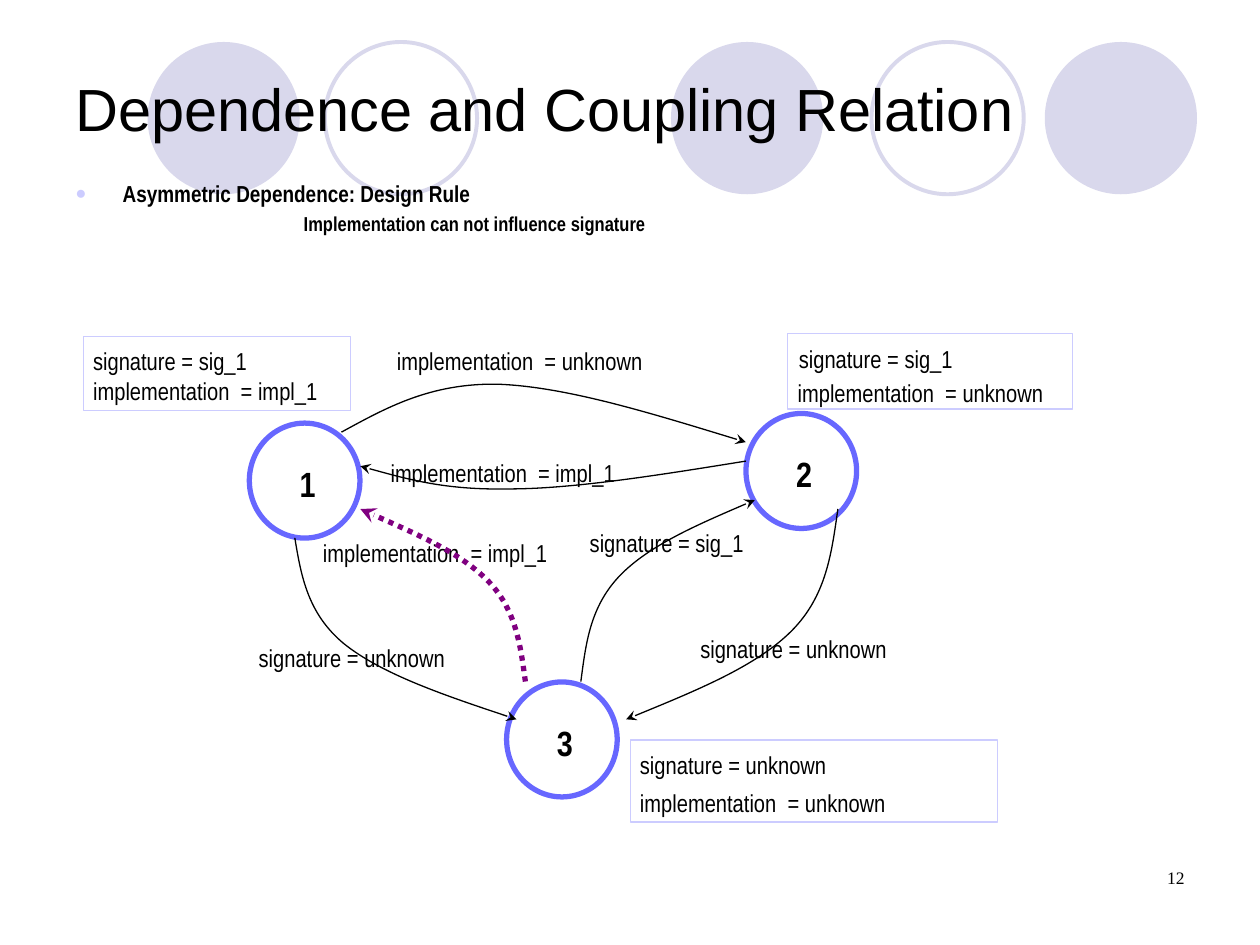
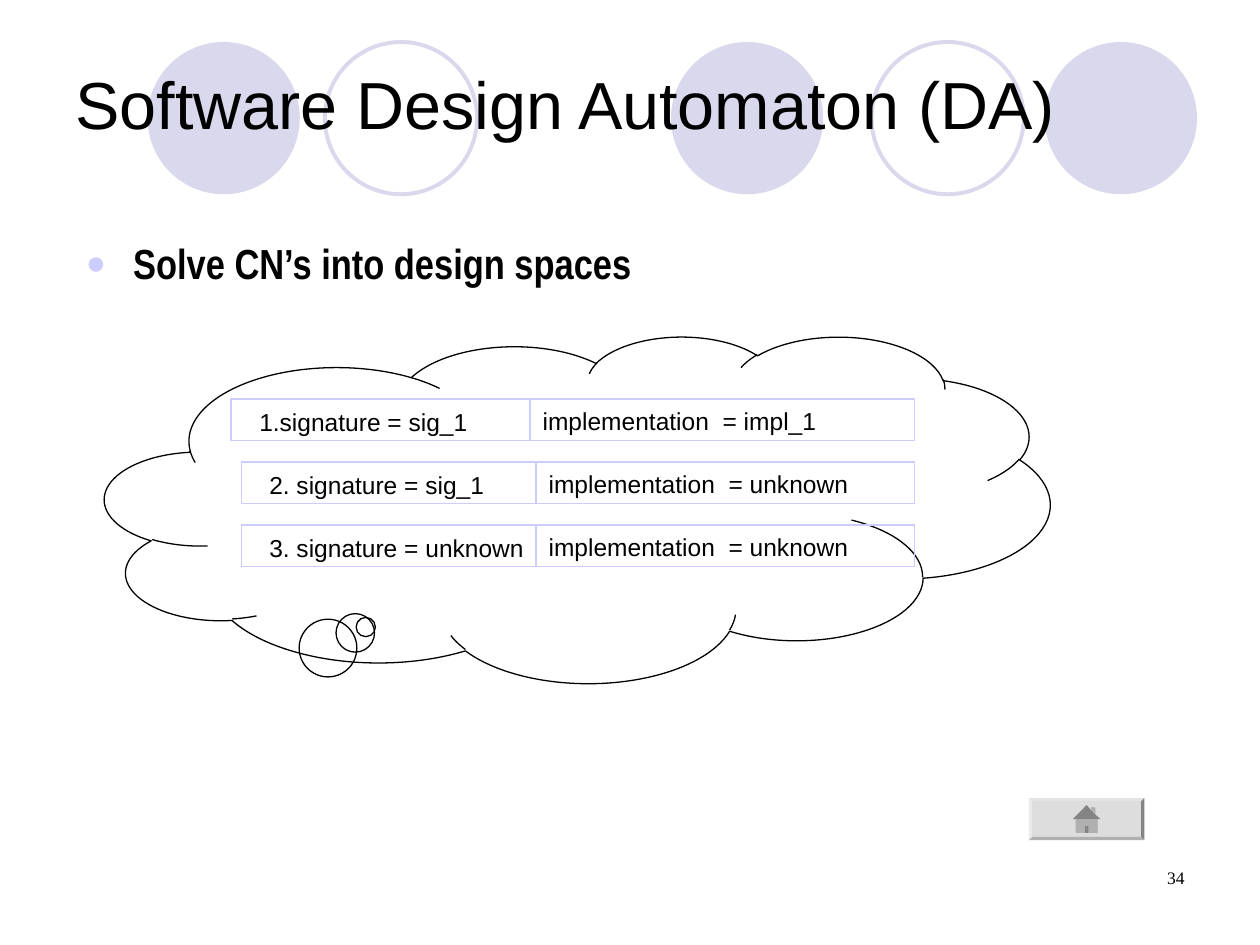
"""Build two slides on coupling relations and the software design automaton."""
import pptx
import pptx.dml.color
import pptx.enum.dml
import pptx.enum.shapes
import pptx.enum.text
import pptx.util
from lxml import etree

Pt = pptx.util.Pt
RGBColor = pptx.dml.color.RGBColor
SHAPE = pptx.enum.shapes.MSO_SHAPE
ANCHOR = pptx.enum.text.MSO_ANCHOR
ALIGN = pptx.enum.text.PP_ALIGN

BLACK = RGBColor(0x00, 0x00, 0x00)
PALE = RGBColor(0xD9, 0xD8, 0xEC)
LAVENDER = RGBColor(0xCC, 0xCC, 0xFF)
NODE_BLUE = RGBColor(0x67, 0x67, 0xFF)
PURPLE = RGBColor(0x80, 0x00, 0x80)
FACE = RGBColor(0xDD, 0xDD, 0xDD)
NARROW = "Arial Narrow"
DRAWING = "{http://schemas.openxmlformats.org/drawingml/2006/main}"


def style_shape(shape, fill=None, line=None, width=0.75):
    shape.shadow.inherit = False
    if fill is None:
        shape.fill.background()
    else:
        shape.fill.solid()
        shape.fill.fore_color.rgb = fill
    if line is None:
        shape.line.fill.background()
    else:
        shape.line.color.rgb = line
        shape.line.width = Pt(width)


def add_text(slide, bounds, text, size, font=NARROW, bold=False, inset=True):
    box = slide.shapes.add_textbox(*[Pt(length) for length in bounds])
    frame = box.text_frame
    frame.word_wrap = True
    frame.margin_left = frame.margin_right = Pt(7.2 if inset else 0)
    frame.margin_top = frame.margin_bottom = Pt(3.6 if inset else 0)
    run = frame.paragraphs[0].add_run()
    run.text = text
    run.font.name = font
    run.font.size = Pt(size)
    run.font.bold = bold
    run.font.color.rgb = BLACK
    return frame


presentation = pptx.Presentation()
presentation.slide_width = Pt(720)
presentation.slide_height = Pt(540)

band = [(383.4, True), (597, True), (84.3, True), (498, False), (185.6, False)]
pages = [
    ("Dependence and Coupling Relation", 34, 80.2, "12",
     "Asymmetric Dependence: Design Rule", 13.2, (36, 102.2, 540, 41.8), 0.8),
    ("Software Design Automaton (DA)", 38, 74.2, "34",
     "Solve CN’s into design spaces", 24, (42, 132, 426, 48), 1.0),
]
slides = []
bullet_frames = []
for title, title_size, title_height, number, bullet, bullet_size, bounds, spacing in pages:
    slide = presentation.slides.add_slide(presentation.slide_layouts[6])
    slides.append(slide)
    for left, solid in band:
        circle = slide.shapes.add_shape(SHAPE.OVAL, Pt(left), Pt(24), Pt(87), Pt(87))
        style_shape(circle, PALE if solid else None, None if solid else PALE, 2.25)

    frame = add_text(slide, (36, 21.6, 642.2, title_height), title, title_size, "Arial")
    frame.vertical_anchor = ANCHOR.MIDDLE

    frame = add_text(slide, bounds, bullet, bullet_size, bold=True)
    bullet_frames.append(frame)
    paragraph = frame.paragraphs[0]
    paragraph.line_spacing = spacing
    paragraph.space_before = Pt(6)
    properties = paragraph._p.get_or_add_pPr()
    properties.set("marL", str(Pt(27)))
    properties.set("indent", str(-Pt(27)))
    bullet_color = etree.SubElement(properties, DRAWING + "buClr")
    etree.SubElement(bullet_color, DRAWING + "srgbClr", val=str(LAVENDER))
    etree.SubElement(properties, DRAWING + "buSzPct", val="80000")
    etree.SubElement(properties, DRAWING + "buFont", typeface="Arial")
    etree.SubElement(properties, DRAWING + "buChar", char="●")

    frame = add_text(slide, (516, 492, 168, 36), number, 10, "Times New Roman")
    frame.paragraphs[0].alignment = ALIGN.RIGHT

coupling_slide, automaton_slide = slides

paragraph = bullet_frames[0].add_paragraph()
paragraph.line_spacing = 0.8
paragraph.space_before = Pt(5.2)
paragraph._p.get_or_add_pPr().set("marL", str(Pt(130.5)))
run = paragraph.add_run()
run.text = "Implementation can not influence signature"
run.font.name = NARROW
run.font.size = Pt(11.5)
run.font.bold = True
run.font.color.rgb = BLACK

for number, left, top in [("1", 142.5, 241.8), ("2", 426.3, 236.3), ("3", 289.5, 389.7)]:
    node = coupling_slide.shapes.add_shape(SHAPE.OVAL, Pt(left), Pt(top), Pt(63.2), Pt(65.7))
    style_shape(node, line=NODE_BLUE, width=3)
    add_text(coupling_slide, (left + 21.6, top + 18.9, 21, 31.7), number, 20, bold=True)

for left, top, width, height in [
    (47.6, 192.3, 152.6, 42.5),
    (450, 190.6, 162.8, 43.2),
    (360.4, 422.8, 209.5, 46.9),
]:
    state_box = coupling_slide.shapes.add_shape(
        SHAPE.RECTANGLE, Pt(left), Pt(top), Pt(width), Pt(height))
    style_shape(state_box, line=LAVENDER)

for text, left, top, width in [
    ("signature = sig_1", 53.2, 197.7, 128),
    ("implementation  = impl_1", 53.2, 214.9, 137),
    ("implementation  = unknown", 226.8, 197.7, 174),
    ("signature = sig_1", 456.5, 196.8, 128),
    ("implementation  = unknown", 455.8, 216.2, 153),
    ("signature = unknown", 365.7, 428.6, 174),
    ("implementation  = unknown", 365.7, 450.4, 204),
    ("signature = sig_1", 337, 301.9, 128),
    ("implementation  = impl_1", 184.6, 307.7, 174),
    ("signature = unknown", 147.8, 367.6, 128),
    ("implementation  = impl_1", 223.2, 261.7, 174),
    ("signature = unknown", 400.2, 362.3, 128),
]:
    add_text(coupling_slide, (left, top, width, 16.8), text, 14, inset=False)

influences = [
    [(195.1, 247), (220.3, 233.3), (245.5, 218.9), (284.4, 219.6),
     (323.3, 221), (374.4, 236.9), (426.2, 252.7)],
    [(426.2, 263.5), (377.3, 271.4), (327.6, 279.4), (290.9, 279.4),
     (254.2, 280.1), (229.7, 272.9), (205.9, 266.4)],
    [(331.9, 389.5), (334.8, 367.9), (337, 347), (354.2, 329),
     (370.8, 311.8), (401, 298.8), (431.3, 285.8)],
    [(168.5, 307.4), (172.1, 329), (175.7, 350.6), (196.6, 367.9),
     (218.2, 385.2), (256.3, 398.2), (295.2, 411.1)],
    [(478.8, 290.9), (475.2, 316.1), (472.3, 340.6), (452.2, 360.7),
     (432, 380.9), (394.6, 396), (357.8, 411.1)],
    [(300.2, 389.5), (297.4, 369.4), (295.2, 349.2), (279.4, 332.6),
     (263.5, 316.1), (234.7, 303.8), (205.9, 290.9)],
]
for controls in influences:
    scaled = [(100 * x, 100 * y) for x, y in controls]
    builder = coupling_slide.shapes.build_freeform(*scaled[0], Pt(0.01))
    builder.add_line_segments(scaled[1:], close=False)
    curve = builder.convert_to_shape()
    outline = next(curve._element.iter(DRAWING + "path"))
    segments = outline.findall(DRAWING + "lnTo")
    for start in (0, 3):
        bezier = etree.SubElement(outline, DRAWING + "cubicBezTo")
        for segment in segments[start:start + 3]:
            bezier.append(segment[0])
            outline.remove(segment)
    forbidden = controls is influences[-1]
    style_shape(curve, line=PURPLE if forbidden else BLACK, width=3 if forbidden else 0.75)
    if forbidden:
        curve.line.dash_style = pptx.enum.dml.MSO_LINE.ROUND_DOT
    etree.SubElement(curve.line._get_or_add_ln(), DRAWING + "tailEnd", type="stealth")

cloud = automaton_slide.shapes.add_shape(
    SHAPE.CLOUD_CALLOUT, Pt(60), Pt(192), Pt(540), Pt(198))
cloud.adjustments[0] = -0.224
cloud.adjustments[1] = 0.34
style_shape(cloud, line=BLACK)

row_right = 522.7
for row, (left, middle, text_left, signature, implementation) in enumerate([
    (132, 302.9, 148.2, "1.signature = sig_1", "implementation  = impl_1"),
    (138, 306.3, 153.9, "2. signature = sig_1", "implementation  = unknown"),
    (138, 306.3, 153.9, "3. signature = unknown", "implementation  = unknown"),
]):
    top = 228 + 36 * row
    for cell_left, cell_right in [(left, middle), (middle, row_right)]:
        cell = automaton_slide.shapes.add_shape(
            SHAPE.RECTANGLE, Pt(cell_left), Pt(top), Pt(cell_right - cell_left), Pt(23.8))
        style_shape(cell, line=LAVENDER)
    add_text(automaton_slide, (text_left, top + 4.6, 152, 16.8), signature, 14, "Arial", inset=False)
    add_text(automaton_slide, (middle + 7.2, top + 4, 232, 16.8), implementation, 14, "Arial",
             inset=False)

left, top, right, bottom, bevel = 588, 456, 654, 480, 1.8
outer = [(left, top), (right, top), (right, bottom), (left, bottom)]
inner = [(left + bevel, top + bevel), (right - bevel, top + bevel),
         (right - bevel, bottom - bevel), (left + bevel, bottom - bevel)]
chimney = [(623.5, 463), (623.5, 461.5), (625.9, 461.5), (625.9, 465.4)]
button_parts = [("norm", outer)]
for side, shade in enumerate(["lightenLess", "darken", "darkenLess", "lighten"]):
    following = (side + 1) % 4
    button_parts.append((shade, [outer[side], outer[following], inner[following], inner[side]]))
button_parts += [
    ("darken", [(621, 460), *chimney, (628.8, 468), (627.1, 468), (627.1, 476),
                (614.9, 476), (614.9, 468), (613.2, 468)]),
    ("darkenLess", chimney),
    ("darkenLess", [(620, 472), (622, 472), (622, 476), (627.1, 476),
                    (627.1, 468), (614.9, 468), (614.9, 476), (620, 476)]),
]
builder = automaton_slide.shapes.build_freeform(100 * left, 100 * top, Pt(0.01))
for part, (shade, corners) in enumerate(button_parts):
    scaled = [(100 * x, 100 * y) for x, y in corners]
    if part:
        builder.move_to(*scaled[0])
    builder.add_line_segments(scaled[1:], close=True)
home_button = builder.convert_to_shape()
style_shape(home_button, FACE)
combined = next(home_button._element.iter(DRAWING + "path"))
path_list = combined.getparent()
shades = iter(button_parts)
for command in list(combined):
    if command.tag == DRAWING + "moveTo":
        contour = etree.SubElement(path_list, DRAWING + "path", w=combined.get("w"),
                                   h=combined.get("h"), fill=next(shades)[0])
    contour.append(command)
path_list.remove(combined)

presentation.save("out.pptx")
